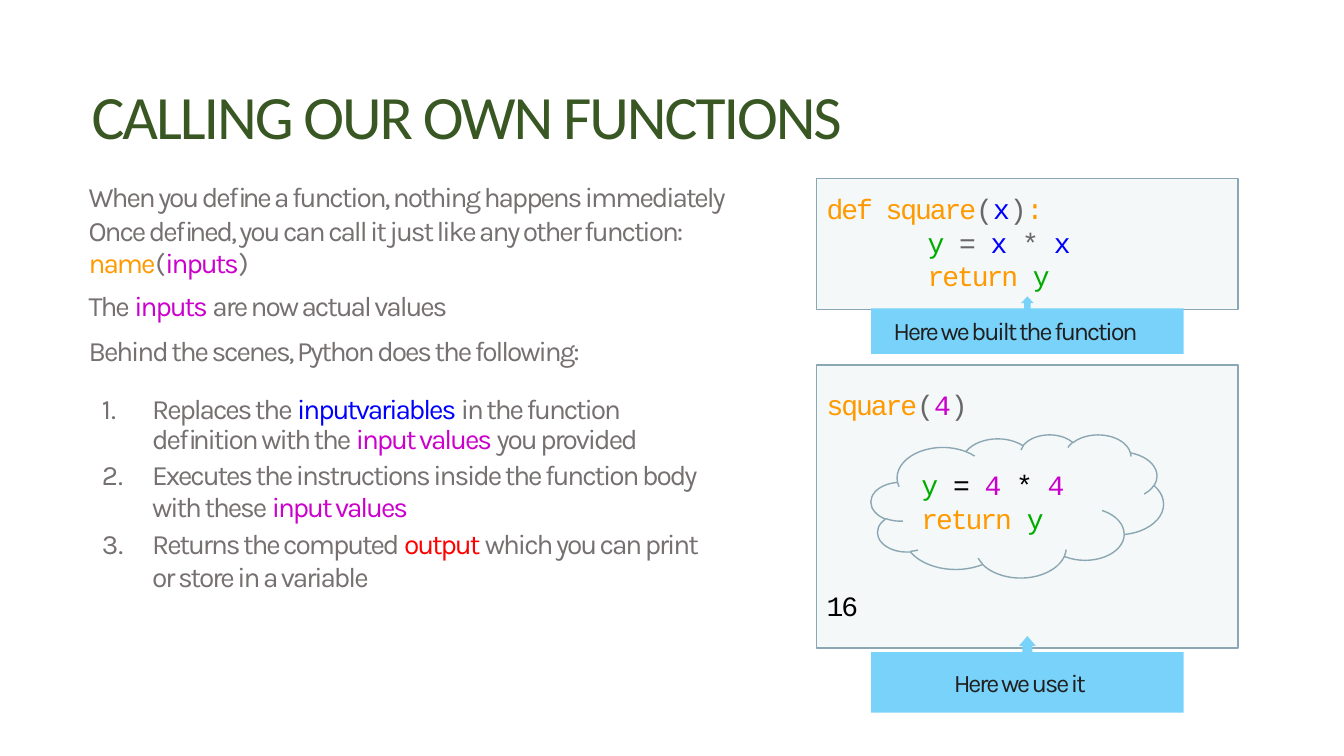
from dataclasses import dataclass

from lxml.etree import SubElement as Sub
from pptx import Presentation
from pptx.dml.color import RGBColor as Rgb
from pptx.enum.shapes import MSO_SHAPE as Kind
from pptx.enum.text import MSO_ANCHOR as Anchor
from pptx.oxml.ns import qn
from pptx.util import Inches, Pt

HUES = {
    "title": "385723", "body": "767070", "code": "676767", "black": "000000",
    "name": "FF9900", "input": "CC00CC", "var": "0000FF", "local": "00AC00",
    "output": "FF0000", "note": "1F1F1F", "panel": "F5F8F8", "edge": "8AA7B3",
    "sky": "79D2FA",
}
TRACK = "-150"  # letter spacing in hundredths of a point


@dataclass
class Para:
    runs: list[tuple[str, str]]  # (text, hue)
    left: float = 0.01
    hang: float = 0
    pitch: float | None = None
    before: float = 0


@dataclass
class Text:
    at: tuple[float, float, float, float]
    paras: list[Para]
    font: str = "Karla"
    size: int = 20
    anchor: Anchor = Anchor.TOP


@dataclass
class Shape:
    kind: Kind
    at: tuple[float, float, float, float]
    fill: str
    edge: str | None = None
    adjust: tuple[float, ...] = ()


def tint(name: str) -> Rgb:
    return Rgb.from_string(HUES[name])


def draw_shape(slide, item: Shape) -> None:
    form = slide.shapes.add_shape(item.kind, *map(Inches, item.at))
    form.shadow.inherit = False
    form.fill.solid()
    form.fill.fore_color.rgb = tint(item.fill)
    if item.edge:
        form.line.color.rgb = tint(item.edge)
        form.line.width = Pt(1)
    else:
        form.line.fill.background()
    for i, value in enumerate(item.adjust):
        form.adjustments[i] = value


def draw_para(para, item: Para, font: str, size: int) -> None:
    props = para._p.get_or_add_pPr()
    props.set("marL", str(Inches(item.left)))
    props.set("indent", str(Inches(-item.hang)))
    if item.hang:
        Sub(props, qn("a:buFont"), typeface=font)
        Sub(props, qn("a:buAutoNum"), type="arabicPeriod")
    if item.pitch:
        para.line_spacing = Pt(item.pitch)
    if item.before:
        para.space_before = Pt(item.before)
    for words, hue in item.runs:
        run = para.add_run()
        run.text = words
        run.font.name = font
        run.font.size = Pt(size)
        run.font.color.rgb = tint(hue)
        run._r.get_or_add_rPr().set("spc", TRACK)


def draw_text(slide, item: Text) -> None:
    frame = slide.shapes.add_textbox(*map(Inches, item.at)).text_frame
    frame.word_wrap = True
    frame.vertical_anchor = item.anchor
    frame.margin_left = frame.margin_right = 0
    frame.margin_top = frame.margin_bottom = 0
    for i, para in enumerate(item.paras):
        spot = frame.add_paragraph() if i else frame.paragraphs[0]
        draw_para(spot, para, item.font, item.size)


# Panels, thought cloud and callouts
SHAPES = [
    Shape(Kind.RECTANGLE, (8.1, 1.77, 4.18, 1.3), "panel", "edge"),
    Shape(Kind.RECTANGLE, (8.1, 3.62, 4.18, 2.81), "panel", "edge"),
    Shape(Kind.CLOUD, (8.64, 4.31, 2.9, 1.42), "panel", "edge"),
    Shape(Kind.UP_ARROW_CALLOUT, (8.64, 2.94, 3.1, 0.57), "sky",
          adjust=(0.11, 0.11, 0.12, 0.79)),
    Shape(Kind.UP_ARROW_CALLOUT, (8.64, 6.31, 3.1, 0.76), "sky",
          adjust=(0.13, 0.11, 0.13, 0.79)),
]

MONO = "Courier New"
TEXTS = [
    # Title
    Text((0.58, 0.76, 11.33, 0.76),
         [Para([("CALLING OUR OWN FUNCTIONS", "title")], 0.33)],
         "Calibri", 44, Anchor.MIDDLE),
    # Explanation
    Text((0.87, 1.8, 7.02, 1.56), [
        Para([("When you define a function, nothing happens immediately",
               "body")], pitch=22.8),
        Para([("Once defined, you can call it just like any other function: ",
               "body"), ("name", "name"), ("(", "body"), ("inputs", "input"),
              (")", "body")], pitch=22.8, before=1.1),
        Para([("The ", "body"), ("inputs ", "input"),
              ("are now actual values", "body")], before=7.2),
        Para([("Behind the scenes, Python does the following:", "body")],
             before=7.8),
    ]),
    # Numbered steps
    Text((1, 3.92, 6.05, 1.96), [
        Para([("Replaces the ", "body"), ("inputvariables ", "var"),
              ("in the function definition with the ", "body"),
              ("input values ", "input"), ("you provided", "body")],
             0.51, 0.5, 21.6),
        Para([("Executes the instructions inside the function body "
               "with these ", "body"), ("input values", "input")],
             0.51, 0.5, 22.8, 2.3),
        Para([("Returns the computed ", "body"), ("output ", "output"),
              ("which you can print or store in a variable", "body")],
             0.51, 0.5, before=2.6),
    ]),
    # Function definition
    Text((8.19, 1.9, 2.53, 1.03), [
        Para([("def square", "name"), ("(", "code"), ("x", "var"),
              (")", "code"), (":", "name")]),
        Para([("y ", "local"), ("= ", "code"), ("x ", "var"), ("* ", "code"),
              ("x ", "var"), ("return ", "name"), ("y", "local")], 1.01),
    ], MONO),
    # Function call and result
    Text((8.19, 3.84, 1.53, 0.36),
         [Para([("square", "name"), ("(", "code"), ("4", "input"),
                (")", "code")])], MONO),
    Text((9.13, 4.64, 1.53, 0.7),
         [Para([("y ", "local"), ("= ", "black"), ("4 ", "input"),
                ("* ", "black"), ("4 ", "input"), ("return ", "name"),
                ("y", "local")])], MONO),
    Text((8.19, 5.84, 0.36, 0.36), [Para([("16", "black")])], MONO),
    # Callout labels
    Text((8.85, 3.13, 2.68, 0.33),
         [Para([("Here we built the function", "note")])], size=18),
    Text((9.45, 6.62, 1.44, 0.33),
         [Para([("Here we use it", "note")])], size=18),
]


def main() -> None:
    deck = Presentation()
    deck.slide_width, deck.slide_height = Inches(13.33), Inches(7.5)
    slide = deck.slides.add_slide(deck.slide_layouts[6])
    for item in SHAPES:
        draw_shape(slide, item)
    for item in TEXTS:
        draw_text(slide, item)
    deck.save("out.pptx")


if __name__ == "__main__":
    main()
